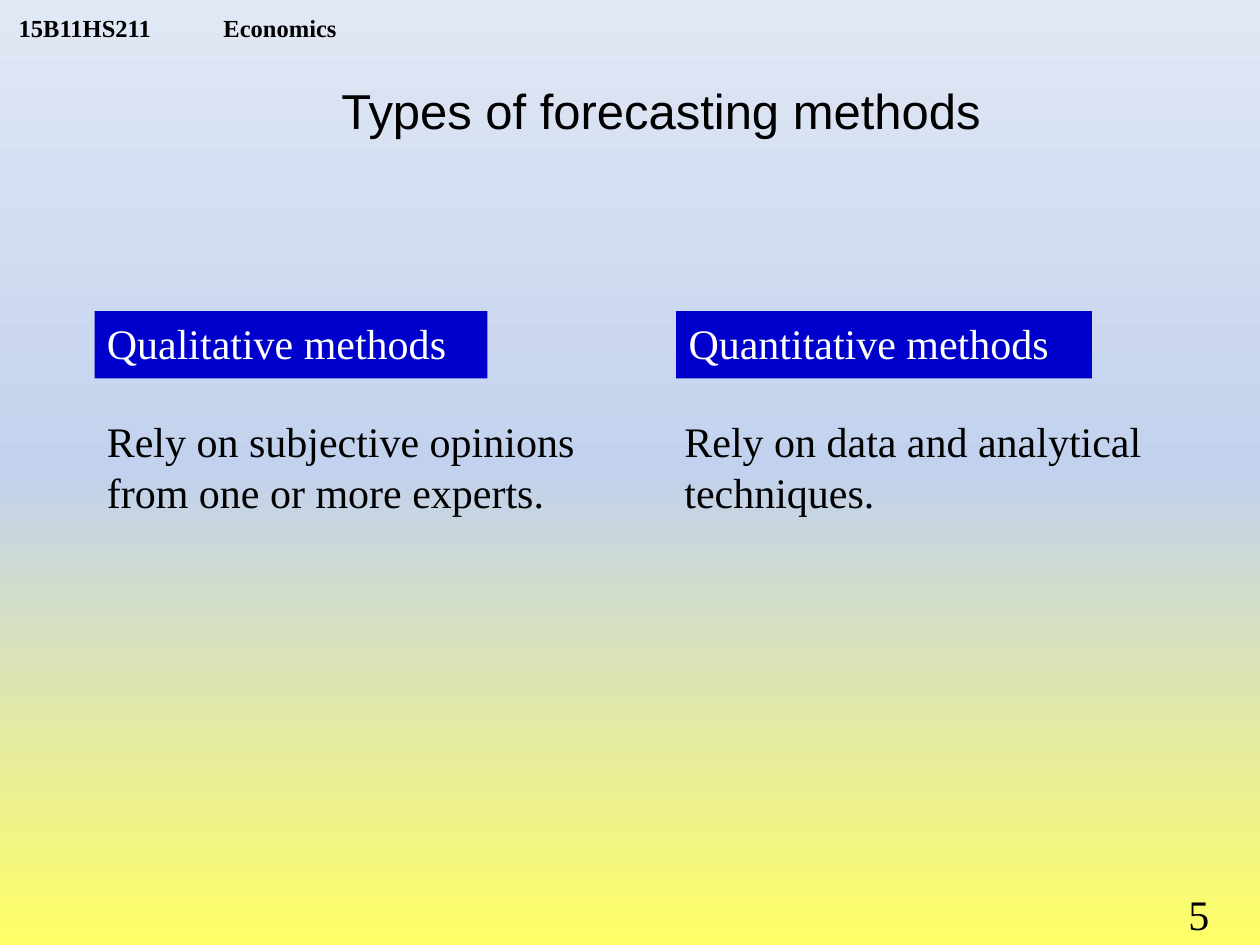
from copy import deepcopy

from lxml import etree
from pptx import Presentation
from pptx.dml.color import RGBColor
from pptx.enum.shapes import MSO_SHAPE
from pptx.enum.text import MSO_ANCHOR, PP_ALIGN
from pptx.oxml.ns import qn
from pptx.util import Pt

RECTANGLE = MSO_SHAPE.RECTANGLE
TOP, MIDDLE, BOTTOM = MSO_ANCHOR.TOP, MSO_ANCHOR.MIDDLE, MSO_ANCHOR.BOTTOM
LEFT, CENTER = PP_ALIGN.LEFT, PP_ALIGN.CENTER
SERIF, SANS = "Times New Roman", "Arial"
BLACK, WHITE, BLUE = "000000", "FFFFFF", "0000CC"
BACKGROUND_STOPS = [(0, "FFFF66"), (0.5, "C2D1ED"), (1, "E1E8F5")]


def set_color(color_format, value):
    """Set a colour from a hex string."""
    color_format.rgb = RGBColor.from_string(value)


def paint_background(slide):
    """Fill the slide with a vertical three-stop gradient."""
    fill = slide.background.fill
    fill.gradient()
    fill.gradient_angle = 90
    stop_list = slide.background._cSld.find(".//" + qn("a:gsLst"))
    stop_list.append(deepcopy(stop_list[0]))
    for stop, (position, value) in zip(fill.gradient_stops, BACKGROUND_STOPS):
        stop.position = position
        set_color(stop.color, value)


def write_text(shape, text, size=24, font=SERIF, color=BLACK, bold=False,
               anchor=TOP, align=LEFT, wrap=True):
    """Write one formatted run into a shape and return its paragraph."""
    frame = shape.text_frame
    frame.word_wrap = wrap
    frame.vertical_anchor = anchor
    paragraph = frame.paragraphs[0]
    paragraph.alignment = align
    run = paragraph.add_run()
    run.text = text
    run.font.name, run.font.size, run.font.bold = font, Pt(size), bold
    set_color(run.font.color, color)
    return paragraph


def add_text(slide, box, text, **style):
    """Add a text box at left, top, width, height."""
    shape = slide.shapes.add_textbox(*map(Pt, box))
    return shape, write_text(shape, text, **style)


def add_header(slide, box):
    """Add the course code and, after a tab stop, the course name."""
    shape, paragraph = add_text(slide, box, "15B11HS211\tEconomics",
                                size=14, bold=True, anchor=BOTTOM)
    shape.text_frame.margin_top = shape.text_frame.margin_bottom = 0
    tabs = etree.SubElement(paragraph._p.get_or_add_pPr(), qn("a:tabLst"))
    etree.SubElement(tabs, qn("a:tab"), pos=str(Pt(117)), algn="l")


def add_method(slide, box, label, label_offset, label_width, description):
    """Add a blue method label with its description below."""
    left, top, width, height = box
    shape = slide.shapes.add_shape(
        RECTANGLE, Pt(left + label_offset), Pt(top), Pt(label_width), Pt(38.4))
    shape.shadow.inherit = False
    shape.fill.solid()
    set_color(shape.fill.fore_color, BLUE)
    shape.line.fill.background()
    write_text(shape, label, color=WHITE, wrap=False)
    add_text(slide, (left, top + 56.2, width, height - 56.2), description)


def main():
    """Build and save the slide."""
    presentation = Presentation()
    presentation.slide_width, presentation.slide_height = Pt(720), Pt(540)
    slide = presentation.slides.add_slide(presentation.slide_layouts[6])
    paint_background(slide)
    add_header(slide, (3.6, 0, 230.4, 24))
    add_text(slide, (144, 16, 467.3, 93.6), "Types of forecasting methods",
             size=28, font=SANS, anchor=MIDDLE, align=CENTER)
    add_method(slide, (54, 177.8, 282, 157), "Qualitative methods", 0, 224.6,
               "Rely on subjective opinions from one or more experts.")
    add_method(slide, (384, 177.8, 276, 126), "Quantitative methods", 2.4, 237.6,
               "Rely on data and analytical techniques.")
    add_text(slide, (672, 504, 48, 36), "5")
    presentation.save("out.pptx")


if __name__ == "__main__":
    main()
